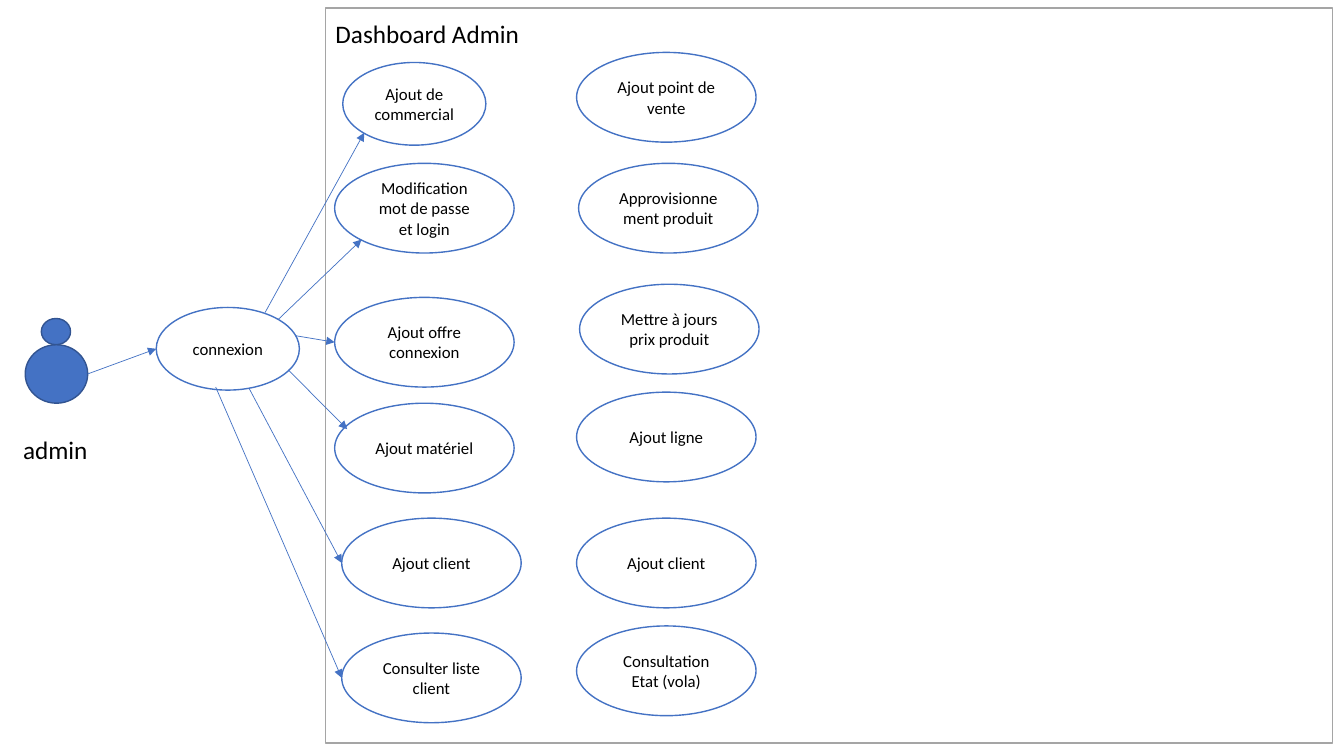
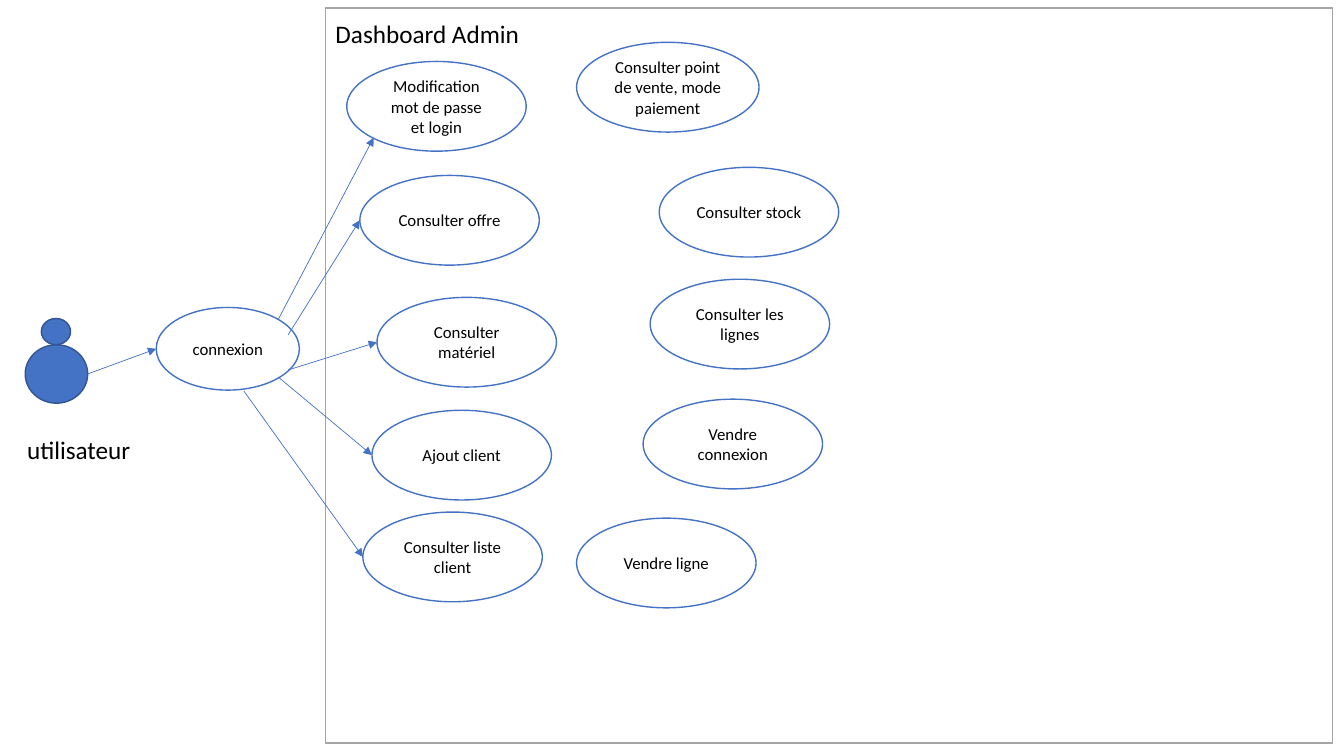
import pptx
import pptx.util
import pptx.dml.color
import pptx.enum.shapes
import pptx.enum.text
import pptx.oxml.ns
import lxml.etree

RGB = pptx.dml.color.RGBColor
BLUE = RGB(0x44, 0x72, 0xC4)
NAVY = RGB(0x32, 0x54, 0x91)
GREY = RGB(0xA5, 0xA5, 0xA5)
WHITE = RGB(0xFF, 0xFF, 0xFF)
BLACK = RGB(0, 0, 0)

FONT = "Calibri"
CELL = pptx.util.Inches(0.1)
COLS, ROWS = 133.33, 75
OVAL = pptx.enum.shapes.MSO_SHAPE.OVAL
RECT = pptx.enum.shapes.MSO_SHAPE.RECTANGLE
WIDE, TALL = 17.8, 8.9
SMALL = (14.2, 8.2)
LEFT = (0, 0.5)
LOW = (0.15, 0.85)
HIGH = (0.07, 0.29)


def cells(*spans):
    return [round(span * CELL) for span in spans]


class Deck:
    def __init__(self):
        self.file = pptx.Presentation()
        self.file.slide_width, self.file.slide_height = cells(COLS, ROWS)
        self.slide = None

    def start(self, actor, col, wide):
        self.slide = self.file.slides.add_slide(self.file.slide_layouts[6])
        self.person()
        self.shape(self.slide.shapes, RECT, (32.3, 0.8, 99.9, 72.9), WHITE, GREY)
        self.label("Dashboard Admin", 32.3, 1.3, 24)
        self.bubble("connexion", 15.5, 30.5, SMALL)
        self.arrow((8.7, 37.1), (15.5, 34.6))
        self.label(actor, col, 42.6, wide)

    def shape(self, home, kind, area, fill, edge):
        item = home.add_shape(kind, *cells(*area))
        item.shadow.inherit = False
        item.fill.solid()
        item.fill.fore_color.rgb = fill
        item.line.color.rgb = edge
        item.line.width = pptx.util.Pt(1)
        return item

    def person(self):
        group = self.slide.shapes.add_group_shape()
        for area in ((4.1, 31.6, 2.9, 2.6), (2.5, 34.2, 6.2, 5.8)):
            self.shape(group.shapes, OVAL, area, BLUE, NAVY)

    def words(self, frame, text, size, align):
        frame.word_wrap = True
        frame.text = text
        for para in frame.paragraphs:
            para.alignment = align
            for run in para.runs:
                run.font.name = FONT
                run.font.size = pptx.util.Pt(size)
                run.font.color.rgb = BLACK

    def label(self, text, col, row, wide):
        box = self.slide.shapes.add_textbox(*cells(col, row, wide, 4))
        self.words(box.text_frame, text, 18, pptx.enum.text.PP_ALIGN.LEFT)
        box.text_frame.auto_size = pptx.enum.text.MSO_AUTO_SIZE.SHAPE_TO_FIT_TEXT

    def bubble(self, text, col, row, size=(WIDE, TALL)):
        item = self.shape(self.slide.shapes, OVAL, (col, row, *size), WHITE, BLUE)
        item.text_frame.vertical_anchor = pptx.enum.text.MSO_ANCHOR.MIDDLE
        self.words(item.text_frame, text, 12, pptx.enum.text.PP_ALIGN.CENTER)

    def arrow(self, start, end):
        kind = pptx.enum.shapes.MSO_CONNECTOR.STRAIGHT
        link = self.slide.shapes.add_connector(kind, *cells(*start, *end))
        link.line.color.rgb = BLUE
        link.line.width = pptx.util.Pt(0.5)
        name = pptx.oxml.ns.qn
        props = link.element.spPr
        edge = props.find(name("a:ln"))
        lxml.etree.SubElement(edge, name("a:tailEnd"), type="triangle")
        lxml.etree.SubElement(props, name("a:effectLst"))

    def target(self, text, col, row, start, share=LEFT, size=(WIDE, TALL)):
        self.bubble(text, col, row, size)
        tip = (col + share[0] * size[0], row + share[1] * size[1])
        self.arrow(start, tip)


ADMIN = (
    ("Ajout de commercial", 34, 6.2, (26.3, 31), LOW, SMALL),
    ("Modification mot de passe et login", 33.2, 16.2, (27.6, 31.7), LOW),
    ("Ajout offre\nconnexion", 33.2, 29.5, (29.3, 33.3)),
    ("Ajout matériel", 33.2, 40, (28.6, 36.7), HIGH),
    ("Ajout client", 33.9, 51.4, (24.7, 38.5)),
    ("Consulter liste client", 33.9, 62.8, (21.4, 38.4)),
)
ADMIN_MORE = (
    ("Ajout point de vente", 57.2, 5.2),
    ("Approvisionnement produit", 57.4, 16.2),
    ("Mettre à jours prix produit", 57.5, 28.2),
    ("Ajout ligne", 57.2, 38.9),
    ("Ajout client", 57.2, 51.4),
    ("Consultation Etat (vola)", 57.2, 62.1),
)
USER = (
    ("Modification mot de passe et login", 34.4, 6.1, (27.6, 31.7), LOW),
    ("Consulter offre", 35.7, 17.4, (28.6, 33.2)),
    ("Consulter matériel", 37.4, 29.5, (28.6, 36.7)),
    ("Ajout client", 36.9, 40.7, (27.6, 37.4)),
    ("Consulter liste client", 36, 50.8, (24.2, 38.8)),
)
USER_MORE = (
    ("Consulter point de vente, mode paiement", 57.2, 4.2, (18.1, TALL)),
    ("Consulter stock", 65.4, 16.6),
    ("Consulter les lignes", 64.5, 27.7),
    ("Vendre connexion", 63.8, 39.6),
    ("Vendre ligne", 57.2, 51.4),
)
SLIDES = (
    (("admin", 1.3, 10.8), ADMIN, ADMIN_MORE),
    (("utilisateur", 1.7, 13.8), USER, USER_MORE),
)


def main():
    deck = Deck()
    for actor, linked, loose in SLIDES:
        deck.start(*actor)
        for case in linked:
            deck.target(*case)
        for case in loose:
            deck.bubble(*case)
    deck.file.save("out.pptx")


if __name__ == "__main__":
    main()
